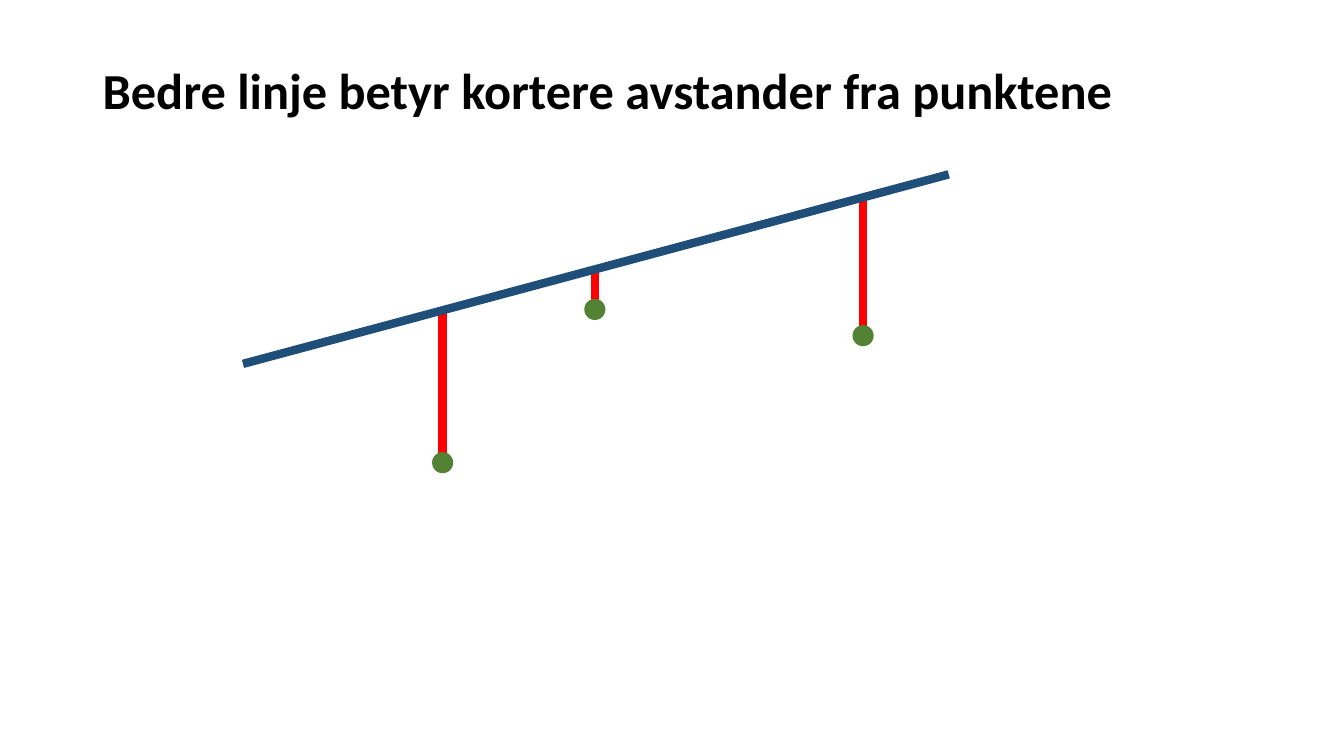
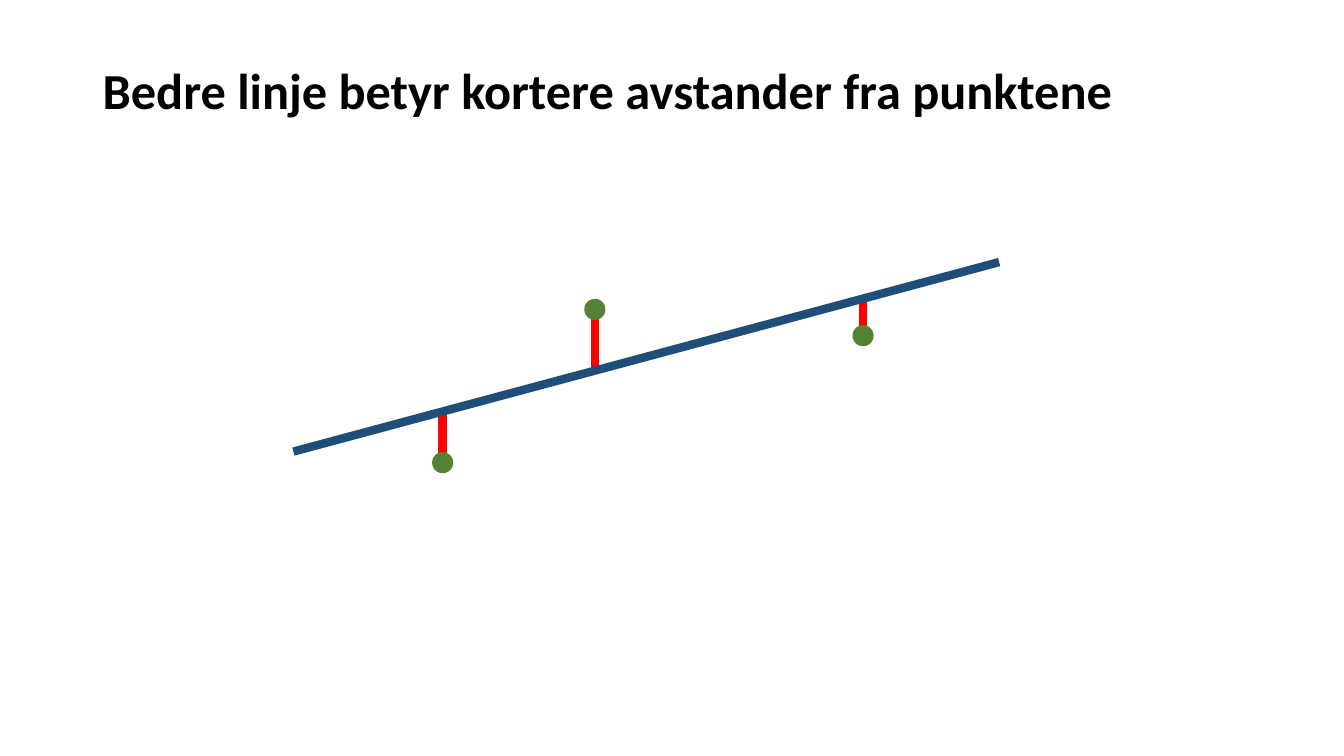
from pptx import Presentation
from pptx.dml.color import RGBColor
from pptx.enum.shapes import MSO_CONNECTOR, MSO_SHAPE
from pptx.enum.text import MSO_ANCHOR
from pptx.oxml.ns import qn
from pptx.util import Inches, Pt
from lxml.etree import SubElement

BLACK, BLUE, RED, GREEN = "000000", "1F4E79", "FF0000", "548235"
FONT = "Calibri"
TITLE = "Bedre linje betyr kortere avstander fra punktene"
HEAD = (0.92, 0.61, 11.5, 1.45)
PLOT = (2.41, 1.73)                 # left and top of the plot
RUN, RISE = 7, 1.88                 # extent of the fitted line
DOTS = [(1.98, 2.86), (3.49, 1.34), (6.15, 1.6)]
SIZE = 0.21
STARTS = [(0, 1.88), (0.5, 2.75)]   # left end of the line, per slide


def color(code):
    return RGBColor.from_string(code)


def add_text(slide, text, box, size=36, bold=True, fill=BLACK, gap=0.9):
    frame = slide.shapes.add_textbox(*map(Inches, box)).text_frame
    frame.word_wrap = True
    frame.vertical_anchor = MSO_ANCHOR.TOP
    para = frame.paragraphs[0]
    para.line_spacing = gap
    run = para.add_run()
    run.text = text
    font = run.font
    font.name, font.size, font.bold = FONT, Pt(size), bold
    font.color.rgb = color(fill)


def add_line(slide, start, end, code):
    line = slide.shapes.add_connector(
        MSO_CONNECTOR.STRAIGHT, *map(Inches, (*start, *end)))
    line.line.color.rgb = color(code)
    line.line.width = Pt(6)
    SubElement(line._element.spPr, qn("a:effectLst"))


def add_dot(slide, x, y):
    dot = slide.shapes.add_shape(
        MSO_SHAPE.OVAL, Inches(x - SIZE / 2), Inches(y - SIZE / 2),
        Inches(SIZE), Inches(SIZE))
    dot.shadow.inherit = False
    dot.fill.solid()
    dot.fill.fore_color.rgb = color(GREEN)
    dot.line.fill.background()


def add_plot(slide, box, start):
    left, top = box
    x0, y0 = left + start[0], top + start[1]
    dots = [(left + x, top + y) for x, y in DOTS]
    # Vertical distances, behind the line and the dots
    for x, y in dots:
        fit = y0 - (x - x0) * RISE / RUN
        add_line(slide, (x, fit), (x, y), RED)
    # Fitted line
    add_line(slide, (x0, y0), (x0 + RUN, y0 - RISE), BLUE)
    # Data points
    for x, y in dots:
        add_dot(slide, x, y)


def main():
    deck = Presentation()
    deck.slide_width, deck.slide_height = Inches(13.33), Inches(7.5)
    for start in STARTS:
        slide = deck.slides.add_slide(deck.slide_layouts[6])
        add_text(slide, TITLE, HEAD)
        add_plot(slide, PLOT, start)
    deck.save("out.pptx")


if __name__ == "__main__":
    main()
